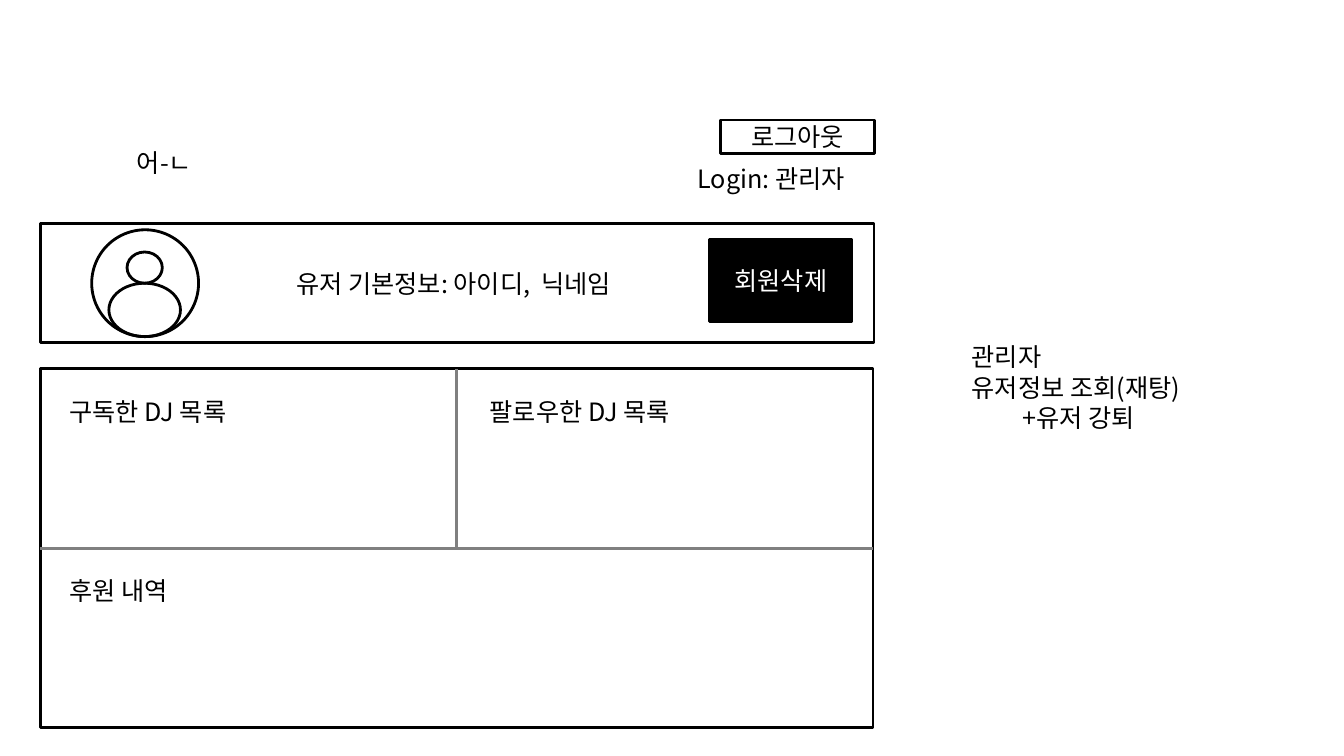
from lxml import etree
from pptx import Presentation
from pptx.dml.color import RGBColor
from pptx.enum import shapes, text
from pptx.oxml import ns
from pptx.util import Emu, Pt

PX = 9144  # 100 px to the inch
FONT = "Noto Sans CJK KR"
BLACK = RGBColor(0x00, 0x00, 0x00)
WHITE = RGBColor(0xFF, 0xFF, 0xFF)
GRAY = RGBColor(0x80, 0x80, 0x80)
RECTANGLE = shapes.MSO_SHAPE.RECTANGLE
OVAL = shapes.MSO_SHAPE.OVAL


def write(shape, lines, color=BLACK, alignment=text.PP_ALIGN.LEFT):
    shape.text_frame.text = lines
    for paragraph in shape.text_frame.paragraphs:
        paragraph.alignment = alignment
        for run in paragraph.runs:
            for name, value in {"size": Pt(18), "name": FONT}.items():
                setattr(run.font, name, value)
            run.font.color.rgb = color
            east_asian = etree.SubElement(run.font._element, ns.qn("a:ea"))
            east_asian.set("typeface", FONT)


def add_outlined(container, kind, box, label="", fill=None, color=BLACK):
    """Add a black-outlined shape, hollow unless a fill is given."""
    shape = container.add_shape(kind, *(Emu(length * PX) for length in box))
    shape.shadow.inherit = False
    if fill is None:
        shape.fill.background()
    else:
        shape.fill.solid()
        shape.fill.fore_color.rgb = fill
    shape.line.color.rgb = BLACK
    shape.line.width = Pt(2)
    if label:
        shape.text_frame.vertical_anchor = text.MSO_ANCHOR.MIDDLE
        write(shape, label, color, text.PP_ALIGN.CENTER)
    return shape


presentation = Presentation()
presentation.slide_width = Emu(1333 * PX)
presentation.slide_height = Emu(750 * PX)
slide = presentation.slides.add_slide(presentation.slide_layouts[6])
header = slide.shapes.add_group_shape().shapes
profile = slide.shapes.add_group_shape().shapes

add_outlined(header, RECTANGLE, (715, 119, 152, 33), "로그아웃")

# Profile card with its user icon
add_outlined(profile, RECTANGLE, (40, 222, 827, 118))
for icon_part in ((91, 228, 106, 106), (126, 250, 35, 31), (108, 281, 71, 53)):
    add_outlined(profile, OVAL, icon_part)

# Activity panel, split in two above and one below
panel = add_outlined(slide.shapes, RECTANGLE, (40, 366, 826, 356))
middle_x = panel.left + panel.width // 2
middle_y = panel.top + panel.height // 2
right = panel.left + panel.width
dividers = []
for ends in ((panel.left, middle_y, right, middle_y),
             (middle_x, panel.top, middle_x, middle_y)):
    divider = slide.shapes.add_connector(shapes.MSO_CONNECTOR.STRAIGHT, *ends)
    divider.line.color.rgb = GRAY
    divider.line.width = Pt(2)
    etree.SubElement(divider._element.spPr, ns.qn("a:effectLst"))
    dividers.append(divider)
dividers[0].begin_connect(panel, 1)
dividers[0].end_connect(panel, 3)
dividers[1].begin_connect(panel, 0)

add_outlined(slide.shapes, RECTANGLE, (704, 238, 141, 81), "회원삭제", BLACK, WHITE)

for container, box, lines in (
    (header, (126, 141, 91, 40), "어-ㄴ"),
    (header, (682, 157, 184, 40), "Login: 관리자"),
    (profile, (284, 261, 361, 40), "유저 기본정보: 아이디,  닉네임"),
    (slide.shapes, (59, 388, 180, 71), "구독한 DJ 목록"),
    (slide.shapes, (476, 388, 200, 71), "팔로우한 DJ 목록"),
    (slide.shapes, (59, 566, 126, 40), "후원 내역"),
    (slide.shapes, (954, 334, 287, 101), "관리자\n유저정보 조회(재탕)\n\t+유저 강퇴"),
):
    caption = container.add_textbox(*(Emu(length * PX) for length in box))
    caption.text_frame.word_wrap = True
    caption.text_frame.auto_size = text.MSO_AUTO_SIZE.SHAPE_TO_FIT_TEXT
    write(caption, lines)

presentation.save("out.pptx")
